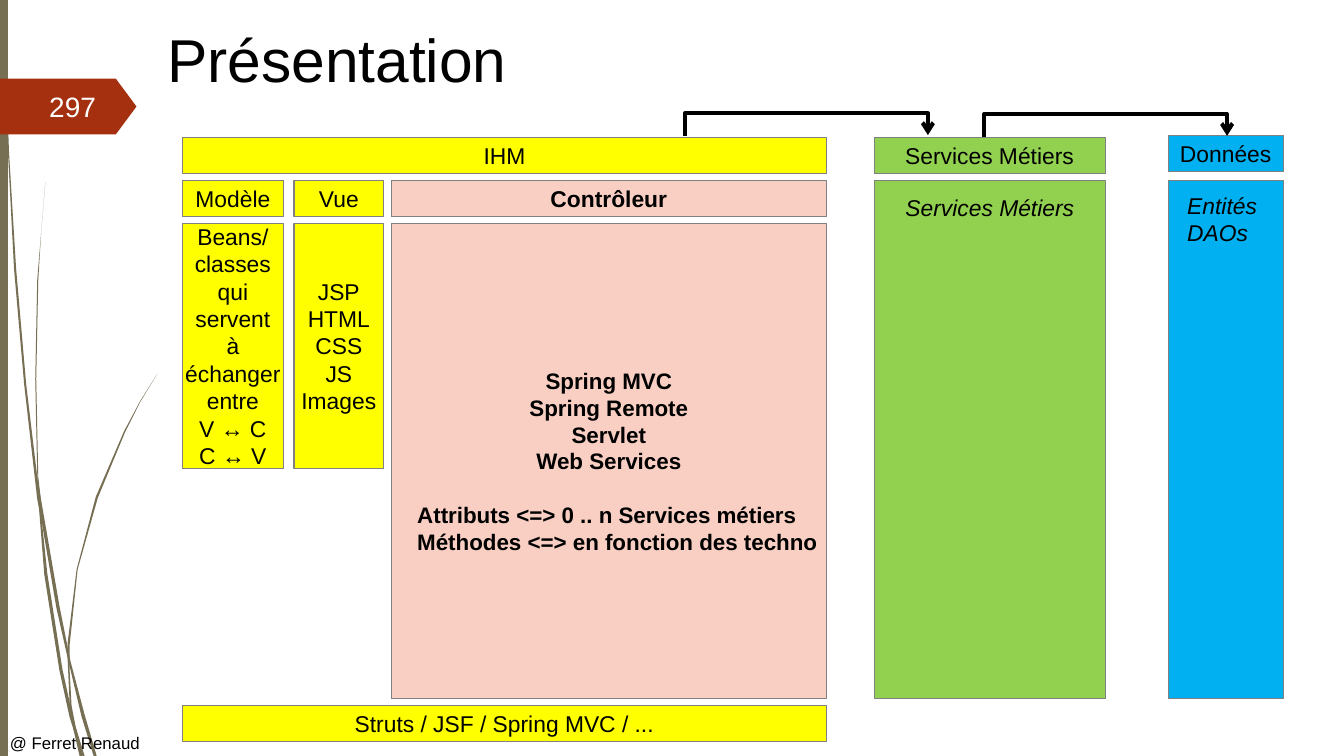
from lxml.etree import SubElement
from pptx import Presentation
from pptx.dml.color import RGBColor as Rgb
from pptx.enum.shapes import MSO_CONNECTOR as Link, MSO_SHAPE as Form
from pptx.enum.text import MSO_ANCHOR as Anchor, MSO_AUTO_SIZE as Fit, PP_ALIGN as Align
from pptx.oxml.ns import qn
from pptx.util import Cm, Pt

HUES = {
    "olive": "766F54", "rust": "A53010", "yellow": "FFFF00", "pink": "F9CFC3",
    "green": "92D050", "blue": "00B0F0", "grey": "808080", "black": "000000",
    "white": "FEFFFF",
}
BAR = 0.91
STEP = 1.08
BODY = 13.05
GRAIN = 1000
WISPS = [
    [(0.06, 0.49), (0.07, 0.94), (0.08, 1.52), (0.14, 2.67), (0.24, 3.81), (0.37, 4.95),
     (0.42, 5.21), (0.56, 6.03), (0.67, 6.52), (0.81, 7.11), (0.93, 7.5), (0.96, 7.5),
     (0.84, 7.09), (0.7, 6.56), (0.59, 6.01), (0.4, 4.91), (0.37, 4.73), (0.26, 3.81),
     (0.16, 2.66), (0.09, 1.51), (0.07, 0.94), (0.07, 0.49)],
    [(0.45, 1.81), (0.41, 2.29), (0.37, 2.78), (0.35, 3.76), (0.37, 4.69), (0.38, 4.95),
     (0.44, 5.7), (0.59, 6.65), (0.69, 7.11), (0.73, 7.24), (0.79, 7.5), (0.82, 7.5),
     (0.75, 7.21), (0.69, 6.96), (0.62, 6.64), (0.47, 5.69), (0.42, 5.21), (0.4, 4.91),
     (0.38, 4.73), (0.36, 3.76), (0.38, 2.78), (0.41, 2.29)],
    [(1.56, 3.71), (1.39, 3.98), (1.23, 4.28), (0.95, 4.93), (0.76, 5.65), (0.67, 6.39),
     (0.67, 6.52), (0.69, 6.96), (0.73, 7.24), (0.82, 7.5), (0.84, 7.5), (0.75, 7.21),
     (0.71, 7), (0.69, 6.63), (0.69, 6.41), (0.77, 5.65), (0.97, 4.94), (1.24, 4.29),
     (1.39, 3.99)],
]


def tint(name):
    return Rgb.from_string(HUES[name])


def paint(shape, hue, edge=None):
    shape.shadow.inherit = False
    shape.fill.solid()
    shape.fill.fore_color.rgb = tint(hue)
    if edge:
        shape.line.color.rgb = tint(edge)
        shape.line.width = Pt(0)
    else:
        shape.line.fill.background()


def write(shape, text, size, hue="black", align=Align.LEFT, anchor=Anchor.TOP,
          bold=False, italic=False):
    frame = shape.text_frame
    frame.text = text
    frame.vertical_anchor = anchor
    for para in frame.paragraphs:
        para.alignment = align
        for run in para.runs:
            font = run.font
            font.name, font.size = "Arial", Pt(size)
            font.bold, font.italic = bold, italic
            font.color.rgb = tint(hue)
    return frame


def pad(frame):
    frame.word_wrap = False
    frame.margin_left = frame.margin_right = Cm(0.23)
    frame.margin_top = frame.margin_bottom = Cm(0.1)


def block(shapes, x, y, w, h, hue, text="", size=16.3, bold=False):
    shape = shapes.add_shape(Form.RECTANGLE, Cm(x), Cm(y), Cm(w), Cm(h))
    paint(shape, hue, "grey")
    if text:
        pad(write(shape, text, size, "black", Align.CENTER, Anchor.MIDDLE, bold))
    return shape


def side(shapes, x, y, w, h):
    for wisp in WISPS:
        first, *rest = [(round(a * GRAIN), round(b * GRAIN)) for a, b in wisp]
        edge = shapes.build_freeform(*first, scale=Cm(2.54) / GRAIN)
        edge.add_line_segments(rest, close=True)
        paint(edge.convert_to_shape(Cm(x), Cm(y)), "olive")
    strip = shapes.add_shape(Form.RECTANGLE, Cm(x), Cm(y), Cm(w), Cm(h))
    paint(strip, "olive")


def badge(shapes, x, y, w, h):
    tag = shapes.add_shape(Form.PENTAGON, Cm(x), Cm(y), Cm(w), Cm(h))
    tag.adjustments[0] = 0.37
    paint(tag, "rust")
    label = shapes.add_textbox(Cm(x + 0.51), Cm(y + 0.2), Cm(2.16), Cm(1.02))
    write(label, "297", 20, "white", Align.RIGHT, Anchor.MIDDLE).word_wrap = True


def head(title, x, y, w, h):
    title.left, title.top, title.width, title.height = Cm(x), Cm(y), Cm(w), Cm(h)
    frame = write(title, "Présentation", 43.2, anchor=Anchor.MIDDLE)
    frame.word_wrap = True
    frame.auto_size = Fit.NONE


def screen(shapes, x, y, w, h):
    base = y + h - BAR
    top = y + 2 * STEP
    block(shapes, x, y, w, BAR, "yellow", "IHM")
    beans = "Beans/\nclasses\nqui\nservent\nà\néchanger\nentre\nV ↔ C\nC ↔ V"
    views = "JSP\nHTML\nCSS\nJS\nImages"
    for left, wide, name, text in ((x, 2.54, "Modèle", beans), (x + 2.81, 2.26, "Vue", views)):
        block(shapes, left, y + STEP, wide, BAR, "yellow", name)
        block(shapes, left, top, wide, 6.17, "yellow", text)
    wide = 10.97
    left = x + w - wide
    block(shapes, left, y + STEP, wide, BAR, "pink", "Contrôleur", bold=True)
    text = ("Spring MVC\nSpring Remote\nServlet\nWeb Services\n"
            "Attributs <=> 0 .. n Services métiers\nMéthodes <=> en fonction des techno")
    core = block(shapes, left, top, wide, base - 0.18 - top, "pink", text, 16, True)
    notes = core.text_frame.paragraphs[4:]
    notes[0].space_before = Pt(19)
    for note in notes:
        note.alignment = Align.LEFT
        props = note._p.get_or_add_pPr()
        props.set("marL", str(Cm(0.43)))
        props.set("indent", "0")
    block(shapes, x, base, w, BAR, "yellow", "Struts / JSF / Spring MVC / ...")


def layer(shapes, x, y, w, h, hue, name, text, spot):
    block(shapes, x, y, w, BAR, hue, name)
    body = y + h - BODY
    block(shapes, x, body, w, BODY, hue)
    dx, dy, wide, high = spot
    label = shapes.add_textbox(Cm(x + dx), Cm(body + dy), Cm(wide), Cm(high))
    paint(label, hue)
    pad(write(label, text, 16.3, italic=True))


def arrow(shapes, x, y, w, rise):
    thin = 0.03
    mid, half = x + w / 2, w / 2
    line = shapes.add_connector(Link.ELBOW, Cm(mid + thin), Cm(y + half), Cm(mid), Cm(y - half))
    line.line.color.rgb = tint("black")
    line.line.width = Pt(2.83)
    props = line._element.spPr
    props.find(qn("a:xfrm")).set("rot", "5400000")
    bends = props.find(qn("a:prstGeom")).find(qn("a:avLst"))
    ratio = round(rise / thin * 100000)
    SubElement(bends, qn("a:gd"), name="adj1", fmla=f"val {ratio}")
    SubElement(props.find(qn("a:ln")), qn("a:tailEnd"), type="arrow")
    SubElement(props, qn("a:effectLst"))


def foot(shapes, x, y, w, h):
    label = shapes.add_textbox(Cm(x), Cm(y), Cm(w), Cm(h))
    write(label, "@ Ferret Renaud", 12).word_wrap = True


def main():
    deck = Presentation()
    deck.slide_width, deck.slide_height = Cm(33.87), Cm(19.05)
    slide = deck.slides.add_slide(deck.slide_layouts[5])
    shapes = slide.shapes
    side(shapes, 0, 0, 0.2, 19.05)
    badge(shapes, 0, 1.98, 3.44, 1.41)
    head(shapes.title, 3.96, 0.33, 29.34, 2.26)
    screen(shapes, 4.6, 3.47, 16.23, 15.22)
    layer(shapes, 22.03, 3.47, 5.82, 14.13, "green",
          "Services Métiers", "Services Métiers", (0.56, 0.23, 4.75, 0.89))
    layer(shapes, 29.44, 3.42, 2.9, 14.18, "blue",
          "Données", "Entités\nDAOs", (0.25, 0.18, 2.24, 1.57))
    for x, y in ((17.25, 3.42), (24.79, 3.44)):
        arrow(shapes, x, y, 6.12, 0.58)
    foot(shapes, 0, 18.34, 7.57, 0.71)
    deck.save("out.pptx")


if __name__ == "__main__":
    main()
